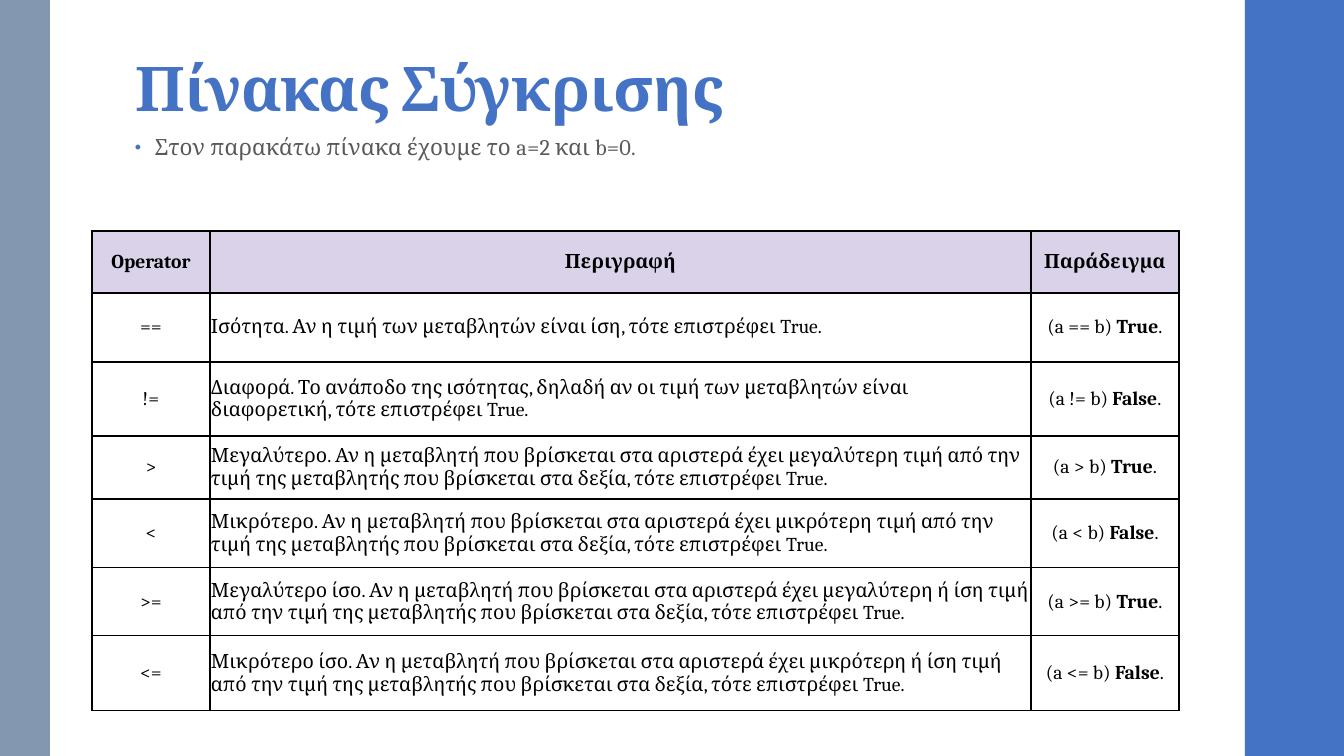
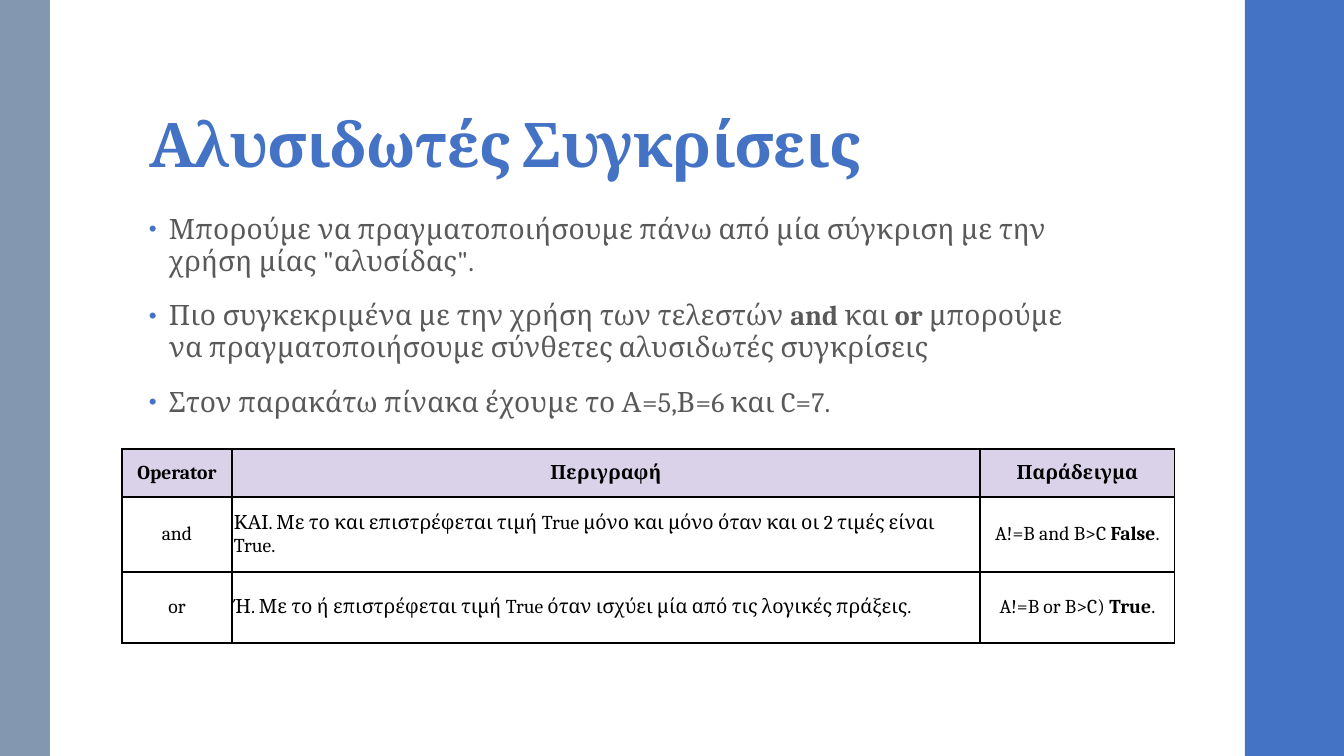
import lxml.etree
import pptx
import pptx.dml.color
import pptx.enum.shapes
import pptx.enum.text
import pptx.oxml.ns
import pptx.util

RGB = pptx.dml.color.RGBColor
ALIGN = pptx.enum.text.PP_ALIGN
ANCHOR = pptx.enum.text.MSO_ANCHOR

# Shared look
BLUE = RGB(0x44, 0x72, 0xC4)
SLATE = RGB(0x84, 0x97, 0xB0)
GREY = RGB(0x59, 0x59, 0x59)
BLACK = RGB(0x00, 0x00, 0x00)
LILAC = RGB(0xD9, 0xD2, 0xE9)
FONT = "Cambria"
PX_PER_INCH = 100.8
SLIDE_W, SLIDE_H = 1344, 756
BANDS = [(1245, 99, BLUE), (0, 50, SLATE)]  # left, width, colour

HEADER = ["Operator", "Περιγραφή", "Παράδειγμα"]

# Text between ** marks is bold
COMPARISONS = [
    ["==", "Ισότητα. Αν η τιμή των μεταβλητών είναι ίση, τότε επιστρέφει True.",
     "(a == b) **True**."],
    ["!=", "Διαφορά. Το ανάποδο της ισότητας, δηλαδή αν οι τιμή των μεταβλητών είναι "
     "διαφορετική, τότε επιστρέφει True.", "(a != b) **False**."],
    [">", "Μεγαλύτερο. Αν η μεταβλητή που βρίσκεται στα αριστερά έχει μεγαλύτερη τιμή από "
     "την τιμή της μεταβλητής που βρίσκεται στα δεξία, τότε επιστρέφει True.",
     "(a > b) **True**."],
    ["<", "Μικρότερο. Αν η μεταβλητή που βρίσκεται στα αριστερά έχει μικρότερη τιμή από "
     "την τιμή της μεταβλητής που βρίσκεται στα δεξία, τότε επιστρέφει True.",
     "(a < b) **False**."],
    [">=", "Μεγαλύτερο ίσο. Αν η μεταβλητή που βρίσκεται στα αριστερά έχει μεγαλύτερη ή ίση "
     "τιμή από την τιμή της μεταβλητής που βρίσκεται στα δεξία, τότε επιστρέφει True.",
     "(a >= b) **True**."],
    ["<=", "Μικρότερο ίσο. Αν η μεταβλητή που βρίσκεται στα αριστερά έχει μικρότερη ή ίση "
     "τιμή από την τιμή της μεταβλητής που βρίσκεται στα δεξία, τότε επιστρέφει True.",
     "(a <= b) **False**."],
]
CHAINS = [
    ["and", "ΚΑΙ. Με το και επιστρέφεται τιμή True μόνο και μόνο όταν και οι 2 τιμές είναι "
     "True.", "A!=B and B>C **False**."],
    ["or", "Ή. Με το ή επιστρέφεται τιμή True όταν ισχύει μία από τις λογικές πράξεις.",
     "A!=B or B>C) **True**."],
]
CHAIN_POINTS = [
    "Μπορούμε να πραγματοποιήσουμε πάνω από μία σύγκριση με την χρήση μίας \"αλυσίδας\".",
    "Πιο συγκεκριμένα με την χρήση των τελεστών **and** και **or** μπορούμε να "
    "πραγματοποιήσουμε σύνθετες αλυσιδωτές συγκρίσεις",
    "Στον παρακάτω πίνακα έχουμε το Α=5,Β=6 και C=7.",
]


def px(length):
    return pptx.util.Emu(round(length * 914400 / PX_PER_INCH))


def add_child(parent, tag, **attributes):
    child = lxml.etree.SubElement(parent, pptx.oxml.ns.qn(tag))
    for key, value in attributes.items():
        child.set(key, str(value))
    return child


def add_runs(paragraph, text, size, color, bold=False, spacing=0):
    """Add the text run by run; spacing is in hundredths of a point."""
    for index, part in enumerate(text.split("**")):
        run = paragraph.add_run()
        run.text = part
        run.font.name = FONT
        run.font.size = pptx.util.Pt(size)
        run.font.bold = bold or index % 2 == 1
        run.font.color.rgb = color
        if spacing:
            run.font._element.set("spc", str(spacing))


def add_bands(slide, master):
    """Draw the side bands and hand them to the master, behind its placeholders."""
    for number, (left, width, color) in enumerate(BANDS):
        band = slide.shapes.add_shape(pptx.enum.shapes.MSO_SHAPE.RECTANGLE,
                                      px(left), 0, px(width), px(SLIDE_H))
        band.shadow.inherit = False
        band.fill.solid()
        band.fill.fore_color.rgb = color
        band.line.fill.background()
        band.element.nvSpPr.cNvPr.set("id", str(100 + number))
        master.shapes.element.insert(2 + number, band.element)


def set_title(slide, text, left, top):
    title = slide.shapes.title
    title.left, title.top, title.width, title.height = px(left), px(top), px(1068), px(154)
    frame = title.text_frame
    frame.auto_size = pptx.enum.text.MSO_AUTO_SIZE.NONE
    frame.vertical_anchor = ANCHOR.BOTTOM
    frame.margin_left = frame.margin_right = px(10)
    frame.margin_top, frame.margin_bottom = px(3), px(5)
    paragraph = frame.paragraphs[0]
    paragraph.alignment = ALIGN.LEFT
    paragraph.line_spacing = 0.9
    add_runs(paragraph, text, 44, BLUE, bold=True, spacing=-50)


def add_bullets(slide, points, left, top, size):
    frame = slide.shapes.add_textbox(px(left), px(top), px(948), px(480)).text_frame
    frame.word_wrap = True
    for index, point in enumerate(points):
        paragraph = frame.add_paragraph() if index else frame.paragraphs[0]
        paragraph.line_spacing = 0.95
        paragraph.space_before = pptx.util.Pt(14)
        paragraph.space_after = pptx.util.Pt(2)
        properties = paragraph._p.get_or_add_pPr()
        properties.set("marL", str(px(20)))
        properties.set("indent", str(-px(20)))
        add_child(add_child(properties, "a:buClr"), "a:srgbClr", val=BLUE)
        add_child(properties, "a:buSzPct", val=80000)
        add_child(properties, "a:buFont", typeface="Arial")
        add_child(properties, "a:buChar", char="•")
        add_runs(paragraph, point, size, GREY, spacing=10)


def format_cell(cell, text, is_header, centred, margin):
    cell.margin_left = cell.margin_right = px(margin)
    cell.margin_top = cell.margin_bottom = px(margin)
    cell.vertical_anchor = ANCHOR.MIDDLE
    # Borders come before the fill in the cell properties
    for side in ("a:lnL", "a:lnR", "a:lnT", "a:lnB"):
        border = add_child(cell._tc.get_or_add_tcPr(), side, w=pptx.util.Pt(1))
        add_child(add_child(border, "a:solidFill"), "a:srgbClr", val=BLACK)
    if is_header:
        cell.fill.solid()
        cell.fill.fore_color.rgb = LILAC
    else:
        cell.fill.background()
    paragraph = cell.text_frame.paragraphs[0]
    paragraph.alignment = ALIGN.CENTER if centred else ALIGN.LEFT
    add_runs(paragraph, text, 14, BLACK, bold=is_header)


def add_operator_table(slide, body_rows, left, top, widths, heights, margin):
    rows = [HEADER] + body_rows
    table = slide.shapes.add_table(len(rows), len(widths), px(left), px(top),
                                   px(sum(widths)), px(sum(heights))).table
    table.first_row = table.horz_banding = False
    for column, width in zip(table.columns, widths):
        column.width = px(width)
    for row_index, (texts, height) in enumerate(zip(rows, heights)):
        table.rows[row_index].height = px(height)
        is_header = row_index == 0
        for column_index, text in enumerate(texts):
            format_cell(table.cell(row_index, column_index), text, is_header,
                        is_header or column_index != 1, margin)


def main():
    deck = pptx.Presentation()
    deck.slide_width, deck.slide_height = px(SLIDE_W), px(SLIDE_H)
    title_only = deck.slide_layouts[5]

    # Comparison operators
    comparison = deck.slides.add_slide(title_only)
    add_bands(comparison, deck.slide_master)
    set_title(comparison, "Πίνακας Σύγκρισης", 125, -24)
    add_bullets(comparison, ["Στον παρακάτω πίνακα έχουμε το a=2 και b=0."], 125, 130, 16)
    add_operator_table(comparison, COMPARISONS, 92, 231, [118, 821, 148],
                       [62, 69, 74, 63, 69, 68, 75], margin=1)

    # Chained comparisons
    chained = deck.slides.add_slide(title_only)
    set_title(chained, "Αλυσιδωτές Συγκρίσεις", 139, 32)
    add_bullets(chained, CHAIN_POINTS, 139, 209, 20)
    add_operator_table(chained, CHAINS, 122, 449, [110, 748, 195], [48, 75, 71], margin=2)

    deck.save("out.pptx")


if __name__ == "__main__":
    main()
